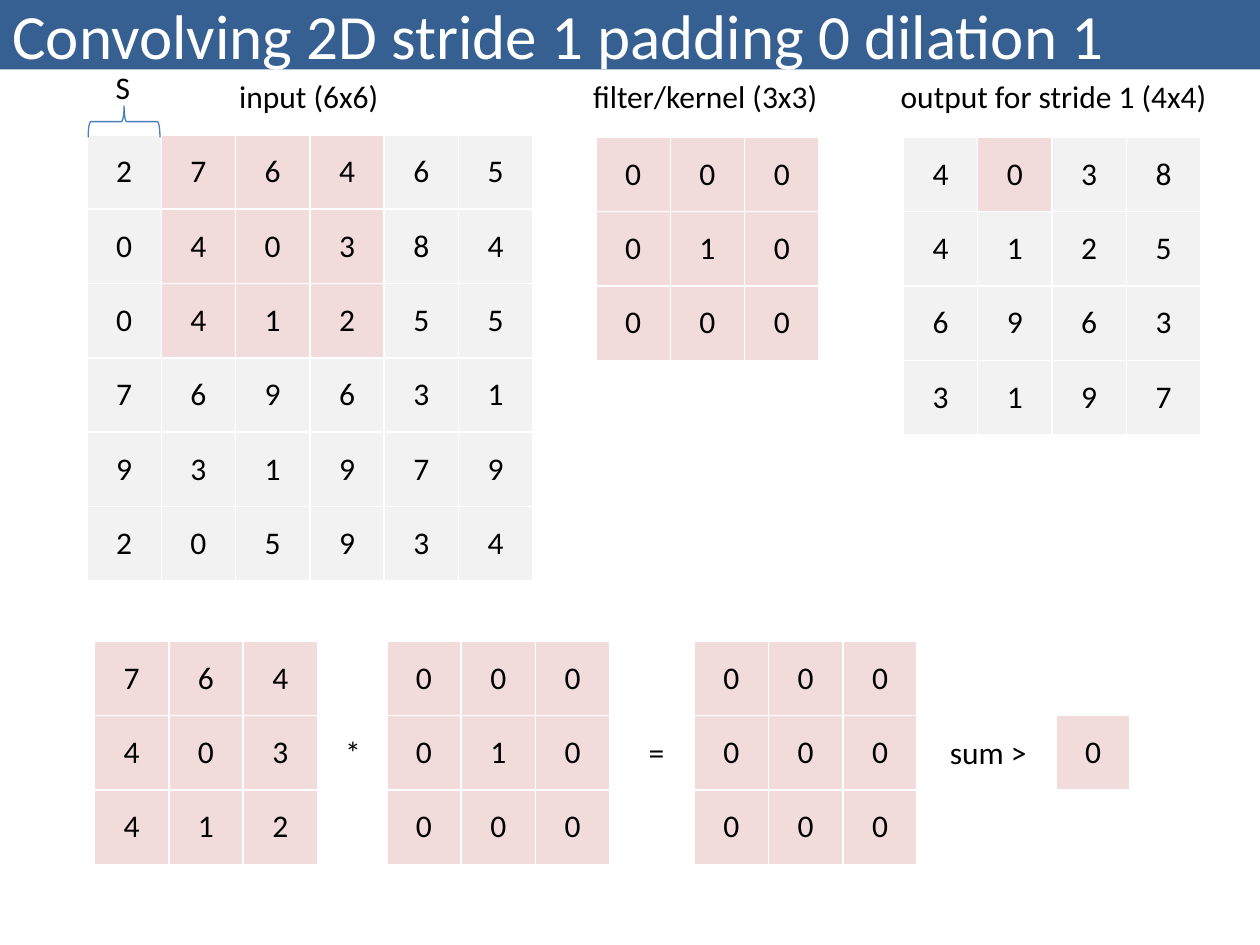
from lxml import etree
from pptx import Presentation
from pptx import util as u
from pptx.dml.color import RGBColor
from pptx.enum import shapes, text
from pptx.oxml import ns

HUES = {"bar": "376092", "pink": "F2DCDB", "gray": "F2F2F2",
        "white": "FFFFFF", "black": "000000", "brace": "4B7EBC"}
CELL = 0.59

deck = Presentation()
deck.slide_width, deck.slide_height = u.Inches(10), u.Inches(7.5)
slide = deck.slides.add_slide(deck.slide_layouts[6])


def write(frame, words, size=18, hue="black", align=text.PP_ALIGN.LEFT):
    par = frame.paragraphs[0]
    par.alignment = align
    run = par.add_run()
    run.text = words
    run.font.size = u.Pt(size)
    run.font.name = "Calibri"
    run.font.color.rgb = RGBColor.from_string(HUES[hue])


def grid(left, top, rows, pink):
    high, wide = len(rows), len(rows[0])
    table = slide.shapes.add_table(
        high, wide, u.Inches(left), u.Inches(top),
        u.Inches(CELL * wide), u.Inches(CELL * high)).table
    table.first_row = table.horz_banding = False
    for line in [*table.rows]:
        line.height = u.Inches(CELL)
    for line in [*table.columns]:
        line.width = u.Inches(CELL)
    for r, row in enumerate(rows):
        for c, num in enumerate(row):
            cell = table.cell(r, c)
            cell.vertical_anchor = text.MSO_ANCHOR.MIDDLE
            write(cell.text_frame, str(num), align=text.PP_ALIGN.CENTER)
            props = cell._tc.get_or_add_tcPr()
            for side in ("lnL", "lnR", "lnT", "lnB"):
                edge = etree.SubElement(props, ns.qn("a:" + side), w=str(u.Pt(1)))
                paint = etree.SubElement(edge, ns.qn("a:solidFill"))
                etree.SubElement(paint, ns.qn("a:srgbClr"), val=HUES["white"])
            cell.fill.solid()
            hue = "pink" if (r, c) in pink else "gray"
            cell.fill.fore_color.rgb = RGBColor.from_string(HUES[hue])


bar = slide.shapes.add_shape(shapes.MSO_SHAPE.RECTANGLE, 0, 0,
                             deck.slide_width, u.Inches(0.55))
bar.shadow.inherit = False
bar.fill.solid()
bar.fill.fore_color.rgb = RGBColor.from_string(HUES["bar"])
bar.line.fill.background()
bar.text_frame.word_wrap = True
bar.text_frame.vertical_anchor = text.MSO_ANCHOR.MIDDLE
write(bar.text_frame, "Convolving 2D stride 1 padding 0 dilation 1", size=36, hue="white")

source = [[2, 7, 6, 4, 6, 5],
          [0, 4, 0, 3, 8, 4],
          [0, 4, 1, 2, 5, 5],
          [7, 6, 9, 6, 3, 1],
          [9, 3, 1, 9, 7, 9],
          [2, 0, 5, 9, 3, 4]]
kernel = [[0, 0, 0], [0, 1, 0], [0, 0, 0]]
span = range(3)
steps = range(4)
result = [[sum(source[r + i][c + j] * kernel[i][j] for i in span for j in span)
           for c in steps] for r in steps]
patch = [row[1:4] for row in source[:3]]
product = [[a * b for a, b in zip(*pair)] for pair in zip(patch, kernel)]
full = {(r, c) for r in span for c in span}

TOP, LOW = 1.09, 5.09
for left, top, rows, pink in (
        (0.69, 1.07, source, {(r, c + 1) for r, c in full}),
        (4.73, TOP, kernel, full),
        (7.17, TOP, result, {(0, 1)}),
        (0.75, LOW, patch, full),
        (3.07, LOW, kernel, full),
        (5.51, LOW, product, full),
        (8.38, LOW + CELL, [[sum(map(sum, product))]], full)):
    grid(left, top, rows, pink)

HEAD, MID = 0.56, 5.77
for left, top, wide, words in (
        (1.8, HEAD, 1.32, "input (6x6)"),
        (4.61, HEAD, 2, "filter/kernel (3x3)"),
        (7.05, HEAD, 2.66, "output for stride 1 (4x4)"),
        (2.64, MID, 0.33, "*"),
        (5.05, MID, 0.33, "="),
        (7.44, MID, 0.82, "sum >"),
        (0.82, 0.49, 0.32, "S")):
    box = slide.shapes.add_textbox(u.Inches(left), u.Inches(top),
                                   u.Inches(wide), u.Inches(0.4))
    box.text_frame.word_wrap = False
    box.text_frame.auto_size = text.MSO_AUTO_SIZE.SHAPE_TO_FIT_TEXT
    write(box.text_frame, words)

brace = slide.shapes.add_shape(shapes.MSO_SHAPE.RIGHT_BRACE, u.Inches(0.86),
                               u.Inches(0.68), u.Inches(0.25), u.Inches(0.57))
brace.rotation = 270
brace.shadow.inherit = False
brace.fill.background()
brace.line.color.rgb = RGBColor.from_string(HUES["brace"])
brace.line.width = u.Pt(0.75)

deck.save("out.pptx")
